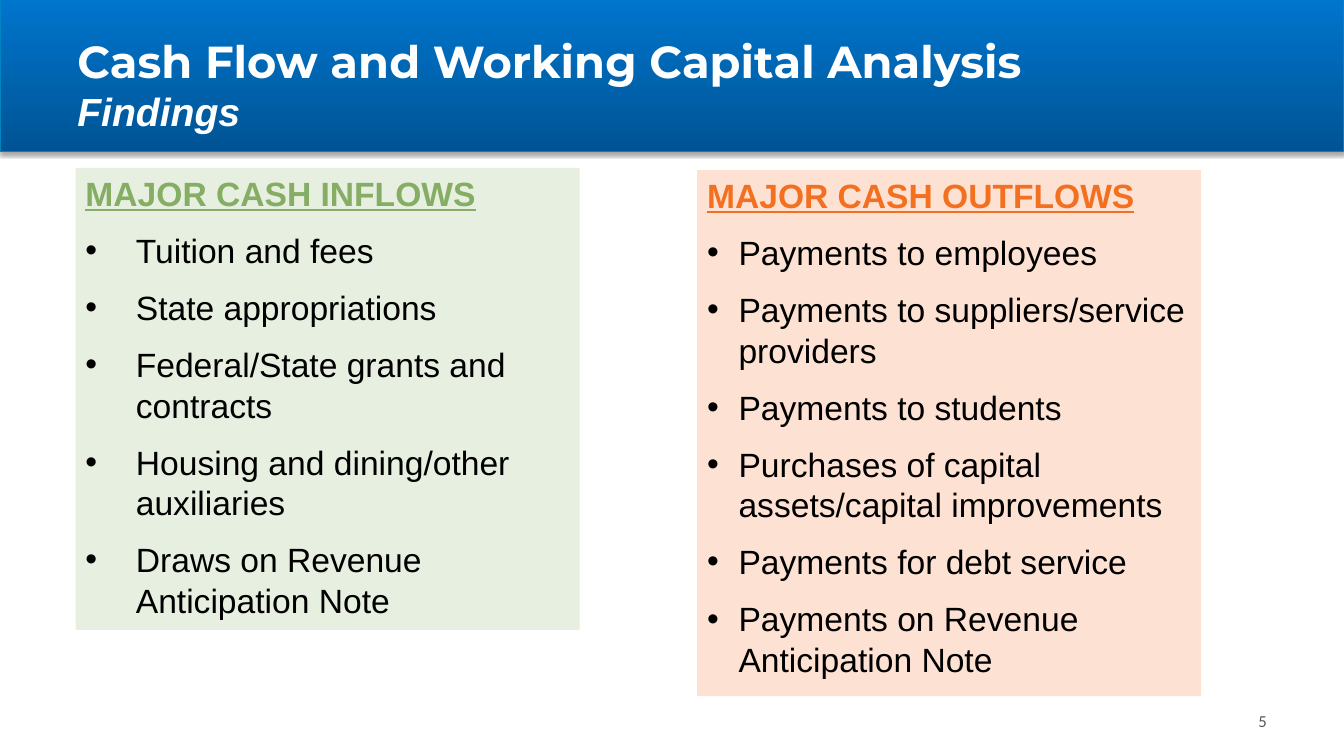
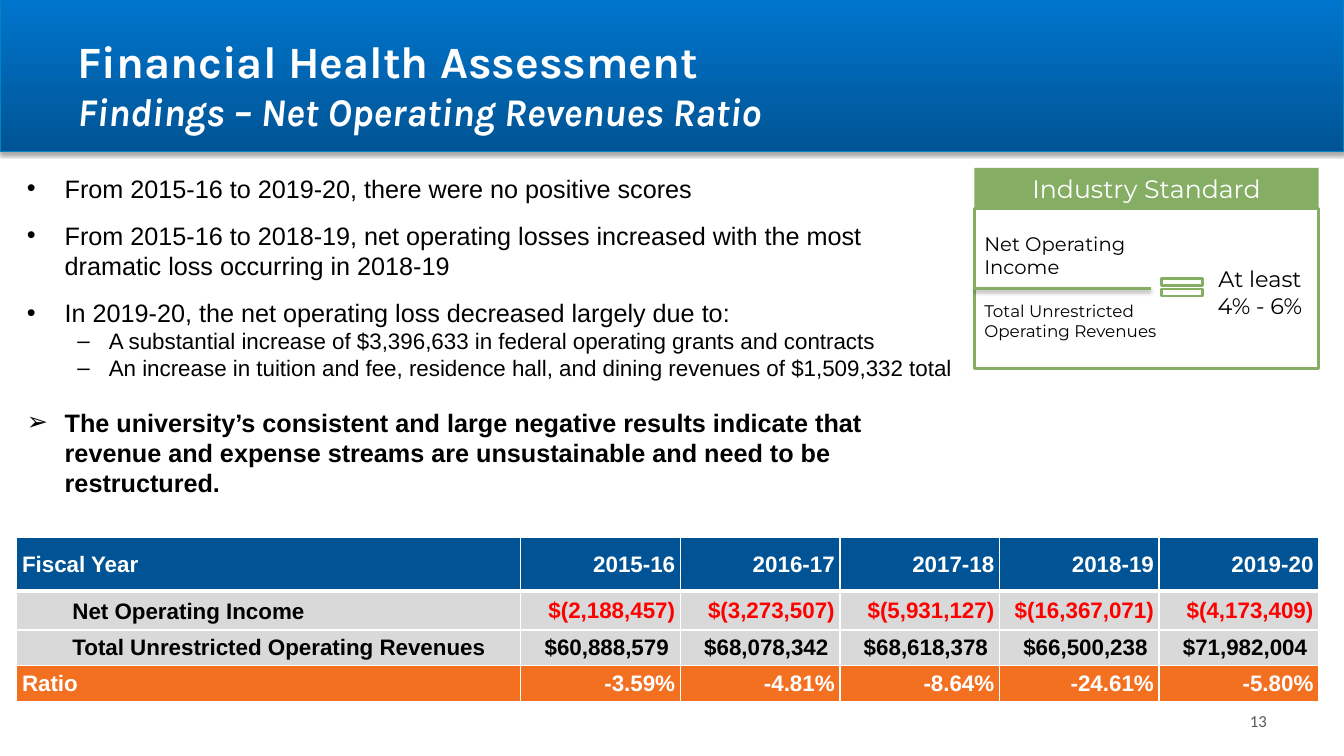
from dataclasses import dataclass, field

from lxml import etree
from pptx import Presentation
from pptx.dml.color import RGBColor
from pptx.enum import shapes, text
from pptx.oxml import parse_xml
from pptx.oxml.ns import nsdecls, qn
from pptx.util import Pt

PX = 9525  # EMU in one px, 96 px to the inch
RECT = shapes.MSO_SHAPE.RECTANGLE
ALIGN, ANCHOR = text.PP_ALIGN, text.MSO_ANCHOR


@dataclass(frozen=True)
class Theme:
    """Colours, fonts and type sizes of the deck."""
    white: str = "FFFFFF"
    black: str = "000000"
    navy: str = "005495"
    blue: str = "0075CC"
    edge: str = "0085C3"
    green: str = "85AD64"
    pale_green: str = "E7EFE0"
    orange: str = "F37021"
    pale_orange: str = "FDE2D3"
    grey: str = "D9D9D9"
    dark_grey: str = "595959"
    red: str = "FF0000"
    font: str = "Arial"
    accent_font: str = "Montserrat"
    title: int = 32
    subtitle: int = 28
    column: int = 24
    body: int = 18
    detail: int = 16
    label: int = 14
    small: int = 12


T = Theme()


@dataclass(frozen=True)
class Box:
    """A place on the slide, in px."""
    left: int
    top: int
    width: int
    height: int

    def emu(self) -> list[int]:
        return [v * PX for v in (self.left, self.top, self.width, self.height)]


@dataclass(frozen=True)
class Para:
    text: str
    fmt: dict = field(default_factory=dict)
    bullet: str = ""
    indent: int = 0
    hang: int = 0
    before: float = 0
    after: float = 0
    align: ALIGN = ALIGN.LEFT


@dataclass(frozen=True)
class CashPanel:
    heading: str
    items: tuple[str, ...]
    box: Box
    fill: str
    accent: str
    indent: int


@dataclass(frozen=True)
class TableRow:
    cells: tuple[str, ...]
    height: int
    fill: str
    label_color: str
    value_color: str
    label_anchor: ANCHOR = ANCHOR.MIDDLE
    value_anchor: ANCHOR = ANCHOR.MIDDLE
    label_indent: int = 0
    value_gap: int = 0
    bottom_pt: int = 1


def add_run(p, words: str, fmt: dict) -> None:
    r = p.add_run()
    r.text = words
    style = {"name": T.font, "size": T.body, "color": T.black, "bold": False} | fmt
    r.font.color.rgb = RGBColor.from_string(style.pop("color"))
    style["size"] = Pt(style["size"])
    for key, value in style.items():
        setattr(r.font, key, value)


def write(tf, paras: list[Para], anchor: ANCHOR = ANCHOR.TOP) -> None:
    frame = {"word_wrap": True, "auto_size": text.MSO_AUTO_SIZE.NONE, "vertical_anchor": anchor}
    for key, value in frame.items():
        setattr(tf, key, value)
    for i, para in enumerate(paras):
        p = tf.add_paragraph() if i else tf.paragraphs[0]
        if para.bullet:
            pPr = p._p.get_or_add_pPr()
            pPr.set("marL", str(para.indent * PX))
            pPr.set("indent", str(-para.hang * PX))
            etree.SubElement(pPr, qn("a:buFont"), typeface=T.font)
            etree.SubElement(pPr, qn("a:buChar"), char=para.bullet)
        layout = {"alignment": para.align, "space_before": Pt(para.before),
                  "space_after": Pt(para.after)}
        for key, value in layout.items():
            setattr(p, key, value)
        add_run(p, para.text, para.fmt)


def add_box(slide, box: Box, fill: str, line: str = "", width: float = 2, preset=RECT):
    sp = slide.shapes.add_shape(preset, *box.emu())
    sp.shadow.inherit = False
    sp.fill.solid()
    sp.fill.fore_color.rgb = RGBColor.from_string(fill)
    if line:
        sp.line.color.rgb = RGBColor.from_string(line)
        sp.line.width = Pt(width)
    else:
        sp.line.fill.background()
    return sp


def add_text(slide, box: Box, paras: list[Para], anchor: ANCHOR = ANCHOR.TOP) -> None:
    write(slide.shapes.add_textbox(*box.emu()).text_frame, paras, anchor)


def add_shadow(sp, opacity: int, distance: float) -> None:
    """Give a shape or connector a soft shadow straight below it."""
    spPr = sp.element.spPr
    for old in spPr.findall(qn("a:effectLst")):
        spPr.remove(old)
    spPr.append(parse_xml(
        f'<a:effectLst {nsdecls("a")}><a:outerShdw blurRad="{Pt(3.1)}" dist="{Pt(distance)}" '
        f'dir="5400000" rotWithShape="0"><a:srgbClr val="{T.black}">'
        f'<a:alpha val="{opacity * 1000}"/></a:srgbClr></a:outerShdw></a:effectLst>'))


def add_master_band(prs, slide) -> None:
    """Draw the title band, then move it to the back of the slide master."""
    sp = add_box(slide, Box(0, 0, 1280, 144), T.blue, T.edge, 0.75)
    sp.fill.gradient()
    sp.fill.gradient_angle = 90
    for stop, color in zip(sp.fill.gradient_stops, (T.navy, T.blue)):
        stop.color.rgb = RGBColor.from_string(color)
    add_shadow(sp, 35, 1.8)
    sp.element.nvSpPr.cNvPr.set("id", "20")
    prs.slide_master.shapes.element.insert(2, sp.element)


def place(sp, box: Box) -> None:
    for key, value in zip(("left", "top", "width", "height"), box.emu()):
        setattr(sp, key, value)


def add_slide(prs, layout: int, title: str, subtitle: str, fonts: tuple[str, str], number: int):
    """Add a slide with its two-line title and page number."""
    slide = prs.slides.add_slide(prs.slide_layouts[layout])
    sp = slide.shapes.title
    place(sp, Box(64, 16, 1152, 128))
    fmt = {"color": T.white, "bold": True}
    write(sp.text_frame, [Para(title, fmt | {"name": fonts[0], "size": T.title})], ANCHOR.MIDDLE)
    p = sp.text_frame.paragraphs[0]
    p.add_line_break()
    add_run(p, subtitle, fmt | {"name": fonts[1], "size": T.subtitle, "italic": True})
    page = {"name": "Calibri", "size": T.small, "color": T.dark_grey}
    add_text(slide, Box(1163, 667, 53, 38), [Para(str(number), page, align=ALIGN.RIGHT)],
             ANCHOR.MIDDLE)
    return slide


def add_cash_panel(slide, panel: CashPanel) -> None:
    heading = {"size": T.column, "color": panel.accent, "bold": True, "underline": True}
    paras = [Para(panel.heading, heading, after=12)]
    paras += [Para(item, {"size": T.column}, "•", panel.indent, panel.indent, after=12)
              for item in panel.items]
    write(add_box(slide, panel.box, panel.fill).text_frame, paras)


def add_standard(slide) -> None:
    """Draw the industry standard as a fraction and its target."""
    frame = add_box(slide, Box(928, 199, 328, 152), T.white, T.green)

    def caption(words: str, size: int, **kwargs) -> Para:
        return Para(words, {"name": T.accent_font, "size": size}, **kwargs)

    add_text(slide, Box(1144, 248, 112, 61),
             [caption(line, T.detail, align=ALIGN.CENTER) for line in ("At least", "4% - 6%")])
    header = add_box(slide, Box(928, 160, 328, 39), T.green)
    write(header.text_frame, [Para("Industry Standard", {"name": T.accent_font, "color": T.white},
                                   align=ALIGN.CENTER)], ANCHOR.MIDDLE)
    add_text(slide, Box(928, 216, 184, 55), [caption("Net Operating Income", T.label)])
    add_text(slide, Box(928, 282, 184, 68),
             [caption("Total Unrestricted Operating Revenues", T.small)])
    bar = slide.shapes.add_connector(shapes.MSO_CONNECTOR.STRAIGHT,
                                     928 * PX, 275 * PX, 1096 * PX, 275 * PX)
    bar.begin_connect(frame, 1)
    bar.line.color.rgb = RGBColor.from_string(T.green)
    bar.line.width = Pt(2)
    add_shadow(bar, 38, 1.6)
    add_box(slide, Box(1099, 259, 53, 29), T.white, T.green, preset=shapes.MSO_SHAPE.MATH_EQUAL)


def set_borders(cell, bottom_pt: int, top_pt: int) -> None:
    tcPr = cell._tc.get_or_add_tcPr()
    for side, width in {"L": 1, "R": 1, "T": top_pt, "B": bottom_pt}.items():
        tcPr.append(parse_xml(
            f'<a:ln{side} {nsdecls("a")} w="{Pt(width)}"><a:solidFill>'
            f'<a:srgbClr val="{T.white}"/></a:solidFill></a:ln{side}>'))


def add_ratio_table(slide, rows: list[TableRow]) -> None:
    widths = [480] + [152] * 5
    box = Box(16, 512, sum(widths), sum(row.height for row in rows))
    table = slide.shapes.add_table(len(rows), len(widths), *box.emu()).table
    table.horz_banding = False
    for col, width in zip(table.columns, widths):
        col.width = width * PX
    top_pt = 1
    for i, row in enumerate(rows):
        table.rows[i].height = row.height * PX
        for j, words in enumerate(row.cells):
            cell = table.cell(i, j)
            set_borders(cell, row.bottom_pt, top_pt)
            cell.fill.solid()
            cell.fill.fore_color.rgb = RGBColor.from_string(row.fill)
            margins = {"left": 5 + (0 if j else row.label_indent), "top": 5, "bottom": 5,
                       "right": 5 + (row.value_gap if j else 0)}
            for side, value in margins.items():
                setattr(cell, f"margin_{side}", value * PX)
            cell.vertical_anchor = row.value_anchor if j else row.label_anchor
            p = cell.text_frame.paragraphs[0]
            p.alignment = ALIGN.RIGHT if j else ALIGN.LEFT
            add_run(p, words, {"size": T.detail, "bold": True,
                               "color": row.value_color if j else row.label_color})
        top_pt = row.bottom_pt


INFLOWS = CashPanel("MAJOR CASH INFLOWS", (
    "Tuition and fees", "State appropriations", "Federal/State grants and contracts",
    "Housing and dining/other auxiliaries", "Draws on Revenue Anticipation Note",
), Box(72, 160, 480, 440), T.pale_green, T.green, 48)
OUTFLOWS = CashPanel("MAJOR CASH OUTFLOWS", (
    "Payments to employees", "Payments to suppliers/service providers", "Payments to students",
    "Purchases of capital assets/capital improvements", "Payments for debt service",
    "Payments on Revenue Anticipation Note",
), Box(664, 162, 480, 501), T.pale_orange, T.orange, 30)

POINT = {"bullet": "•", "indent": 36, "hang": 36}
DETAIL = {"fmt": {"size": T.detail}, "bullet": "–", "indent": 78, "hang": 30}
FINDINGS = [
    Para("From 2015-16 to 2019-20, there were no positive scores", **POINT),
    Para("From 2015-16 to 2018-19, net operating losses increased with the most dramatic loss "
         "occurring in 2018-19", before=12, **POINT),
    Para("In 2019-20, the net operating loss decreased largely due to:", before=12, **POINT),
    Para("A substantial increase of $3,396,633 in federal operating grants and contracts",
         **DETAIL),
    Para("An increase in tuition and fee, residence hall, and dining revenues of $1,509,332 total",
         **DETAIL),
    Para("The university’s consistent and large negative results indicate that revenue and "
         "expense streams are unsustainable and need to be restructured.",
         {"bold": True}, before=18.4, **(POINT | {"bullet": "➢"})),
]
RATIO_ROWS = [
    TableRow(("Fiscal Year", "2015-16", "2016-17", "2017-18", "2018-19", "2019-20"),
             51, T.navy, T.white, T.white, bottom_pt=3),
    TableRow(("Net Operating Income", "$(2,188,457)", "$(3,273,507)", "$(5,931,127)",
              "$(16,367,071)", "$(4,173,409)"),
             37, T.grey, T.black, T.red, ANCHOR.BOTTOM, label_indent=48),
    TableRow(("Total Unrestricted Operating Revenues", "$60,888,579", "$68,078,342",
              "$68,618,378", "$66,500,238", "$71,982,004"),
             34, T.grey, T.black, T.black, ANCHOR.BOTTOM, ANCHOR.BOTTOM, 48, 6),
    TableRow(("Ratio", "-3.59%", "-4.81%", "-8.64%", "-24.61%", "-5.80%"),
             34, T.orange, T.white, T.white),
]


def main() -> None:
    prs = Presentation()
    prs.slide_width, prs.slide_height = 1280 * PX, 720 * PX

    cash = add_slide(prs, 5, "Cash Flow and Working Capital Analysis", "Findings",
                     (T.accent_font, T.font), 5)
    add_master_band(prs, cash)
    for panel in (INFLOWS, OUTFLOWS):
        add_cash_panel(cash, panel)

    health = add_slide(prs, 1, "Financial Health Assessment",
                       "Findings – Net Operating Revenues Ratio", ("Karla", "Karla"), 13)
    body = health.placeholders[1]
    place(body, Box(16, 160, 910, 336))
    write(body.text_frame, FINDINGS)
    add_standard(health)
    add_ratio_table(health, RATIO_ROWS)
    prs.save("out.pptx")


if __name__ == "__main__":
    main()
